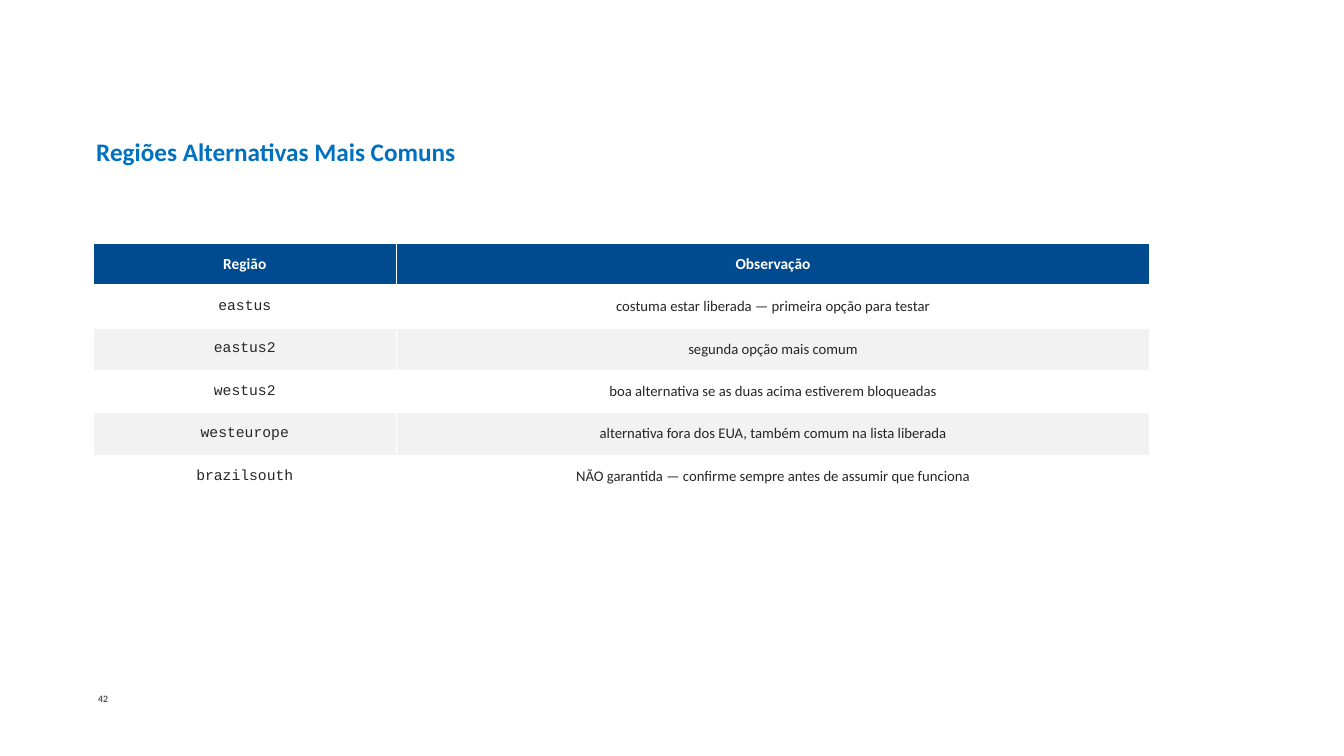
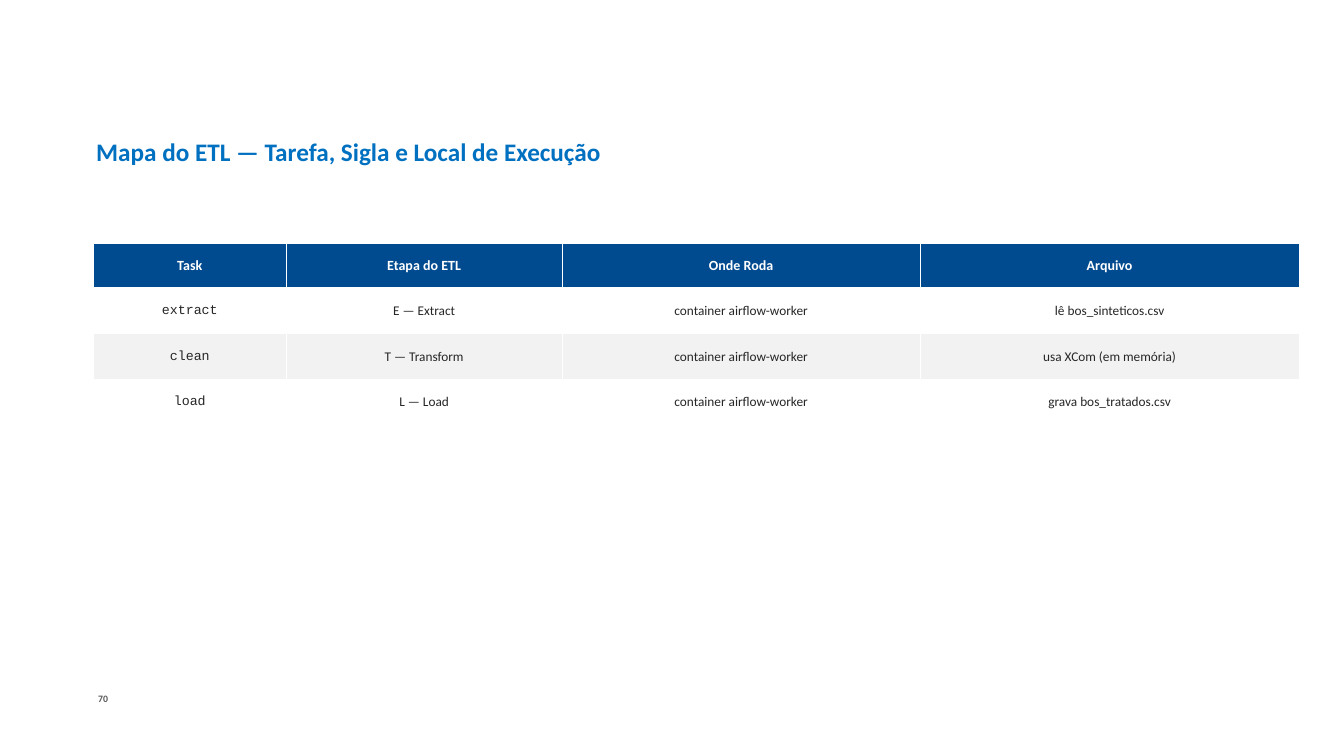
from lxml import etree
from pptx import Presentation
from pptx.dml.color import RGBColor
from pptx.enum.text import MSO_ANCHOR, PP_ALIGN
from pptx.oxml.ns import qn
from pptx.util import Cm, Pt

LEFT, CENTER = PP_ALIGN.LEFT, PP_ALIGN.CENTER
TOP, MIDDLE = MSO_ANCHOR.TOP, MSO_ANCHOR.MIDDLE

TITLE_BLUE = "0070C0"
HEADER_BLUE = "004A8F"
WHITE = "FFFFFF"
STRIPE_GRAY = "F2F2F2"
BODY_GRAY = "262626"
NUMBER_GRAY = "595959"
SANS, MONO = "Calibri", "Courier New"
MARGIN = 4.7
BLANK_LAYOUT = 6

REGIONS = {
    "title": "Regiões Alternativas Mais Comuns",
    "number": "42",
    "widths": [15.27, 37.97],
    "row_height": 2.14,
    "header_size": 22,
    "rows": [
        ["Região", "Observação"],
        ["eastus", "costuma estar liberada — primeira opção para testar"],
        ["eastus2", "segunda opção mais comum"],
        ["westus2", "boa alternativa se as duas acima estiverem bloqueadas"],
        ["westeurope", "alternativa fora dos EUA, também comum na lista liberada"],
        ["brazilsouth", "NÃO garantida — confirme sempre antes de assumir que funciona"],
    ],
}
ETL_MAP = {
    "title": "Mapa do ETL — Tarefa, Sigla e Local de Execução",
    "number": "70",
    "widths": [9.73, 13.89, 18.06, 19.08],
    "row_height": 2.29,
    "header_size": 20,
    "rows": [
        ["Task", "Etapa do ETL", "Onde Roda", "Arquivo"],
        ["extract", "E — Extract", "container airflow-worker", "lê bos_sinteticos.csv"],
        ["clean", "T — Transform", "container airflow-worker", "usa XCom (em memória)"],
        ["load", "L — Load", "container airflow-worker", "grava bos_tratados.csv"],
    ],
}


def color(hex_value):
    return RGBColor.from_string(hex_value)


def set_values(target, values):
    for attribute, value in values.items():
        setattr(target, attribute, value)


def write(frame, text, hex_value, align, **font_values):
    paragraph = frame.paragraphs[0]
    paragraph.alignment = align
    run = paragraph.add_run()
    run.text = text
    set_values(run.font, font_values)
    run.font.color.rgb = color(hex_value)


def add_label(slide, box, text, hex_value, size, anchor, **margins):
    frame = slide.shapes.add_textbox(*map(Cm, box)).text_frame
    set_values(frame, {"word_wrap": True, "vertical_anchor": anchor, **margins})
    write(frame, text, hex_value, LEFT, name=SANS, size=Pt(size), bold=True)


def add_title(slide, text):
    sides = ("left", "top", "right", "bottom")
    margins = {f"margin_{side}": Cm(0.15) for side in sides}
    add_label(slide, (MARGIN, 4.47, 53.26, 6.35), text, TITLE_BLUE, 36, MIDDLE, **margins)


def add_page_number(slide, number):
    add_label(slide, (MARGIN, 34.77, 2.49, 1.12), number, NUMBER_GRAY, 14, TOP)


def add_borders(cell, widths):
    properties = cell._tc.get_or_add_tcPr()
    for side, width in widths.items():
        line = etree.SubElement(properties, qn(f"a:ln{side}"), w=str(Pt(width)))
        fill = etree.SubElement(line, qn("a:solidFill"))
        etree.SubElement(fill, qn("a:srgbClr"), val=WHITE)


def style_cell(cell, text, row, column, header_size):
    is_header = row == 0
    add_borders(cell, {"L": 1, "R": 1, "T": 3 if row == 1 else 1, "B": 3 if is_header else 1})
    cell.vertical_anchor = MIDDLE
    cell.fill.solid()
    stripe = WHITE if row % 2 else STRIPE_GRAY
    cell.fill.fore_color.rgb = color(HEADER_BLUE if is_header else stripe)
    write(
        cell.text_frame, text, WHITE if is_header else BODY_GRAY, CENTER,
        name=MONO if column == 0 and not is_header else SANS,
        size=Pt(header_size if is_header else header_size - 1),
        bold=is_header,
    )


def add_grid(slide, rows, widths, row_height, header_size):
    box = (MARGIN, 12.24, sum(widths), row_height * len(rows))
    table = slide.shapes.add_table(len(rows), len(widths), *map(Cm, box)).table
    for column, width in zip(table.columns, widths):
        column.width = Cm(width)
    for row, texts in enumerate(rows):
        table.rows[row].height = Cm(row_height)
        for column, text in enumerate(texts):
            style_cell(table.cell(row, column), text, row, column, header_size)


def add_table_slide(deck, title, number, **grid):
    slide = deck.slides.add_slide(deck.slide_layouts[BLANK_LAYOUT])
    add_title(slide, title)
    add_page_number(slide, number)
    add_grid(slide, **grid)


def main():
    deck = Presentation()
    set_values(deck, {"slide_width": Cm(67.73), "slide_height": Cm(38.1)})
    for content in (REGIONS, ETL_MAP):
        add_table_slide(deck, **content)
    deck.save("out.pptx")


if __name__ == "__main__":
    main()
